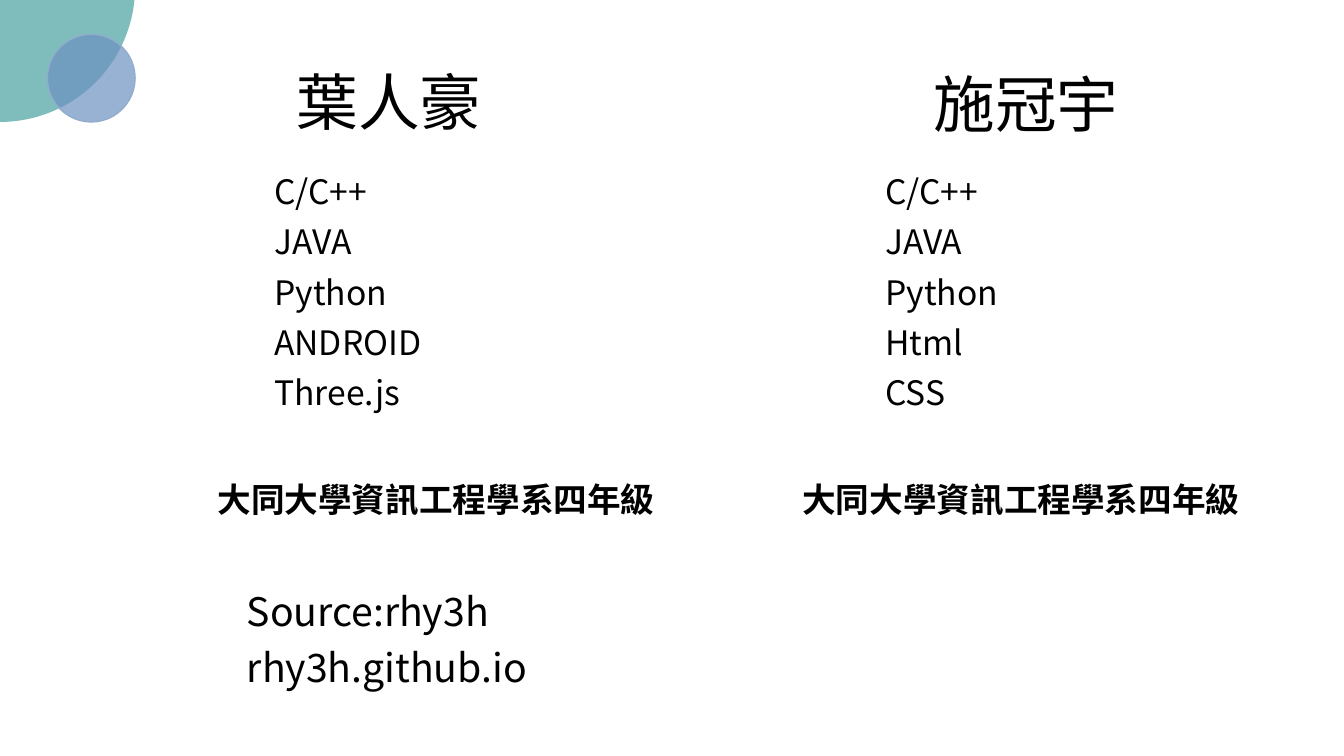
from pptx import Presentation
from pptx.dml.color import RGBColor
from pptx.enum.shapes import MSO_SHAPE
from pptx.enum.text import MSO_ANCHOR, MSO_AUTO_SIZE, PP_ALIGN
from pptx.oxml.ns import qn
from pptx.util import Inches, Pt

OVAL = MSO_SHAPE.OVAL
TOP, MIDDLE = MSO_ANCHOR.TOP, MSO_ANCHOR.MIDDLE
LEFT = PP_ALIGN.LEFT
SHRINK, GROW = MSO_AUTO_SIZE.TEXT_TO_FIT_SHAPE, MSO_AUTO_SIZE.SHAPE_TO_FIT_TEXT

FONT = "Noto Sans CJK SC"
BLACK = RGBColor(0, 0, 0)
TEAL = RGBColor(0x48, 0xA2, 0xA0)
BLUE = RGBColor(0x6C, 0x92, 0xC0)
RIM = RGBColor(0x92, 0xAC, 0xCD)

LIST_TOP, LIST_WIDTH = 1.69, 3.1
SCHOOL = "大同大學資訊工程學系四年級"
SKILLS_LEFT = ["C/C++", "JAVA", "Python", "ANDROID", "Three.js"]
SKILLS_RIGHT = ["C/C++", "JAVA", "Python", "Html", "CSS"]
CONTACT = ["Source:rhy3h", "rhy3h.github.io"]


def place(shape, left, top, width, height):
    """Position a shape, in inches."""
    shape.left, shape.top = Inches(left), Inches(top)
    shape.width, shape.height = Inches(width), Inches(height)


def write(shape, lines, size, spacing=0.9, gap=10, bold=False, anchor=TOP, fit=SHRINK):
    """Fill a shape with plain left-aligned lines without bullets."""
    frame = shape.text_frame
    frame.text = "\n".join(lines)
    frame.word_wrap = True
    frame.auto_size = fit
    frame.vertical_anchor = anchor
    for number, paragraph in enumerate(frame.paragraphs):
        properties = paragraph._p.get_or_add_pPr()
        properties.set("marL", "0")
        properties.set("indent", "0")
        properties.append(properties.makeelement(qn("a:buNone"), {}))
        paragraph.alignment = LEFT
        paragraph.line_spacing = spacing
        paragraph.space_before = Pt(gap if number else 0)
        font = paragraph.font
        font.name, font.size, font.bold = FONT, Pt(size), bold
        font.color.rgb = BLACK
        for run in paragraph.runs:
            run_properties = run._r.get_or_add_rPr()
            east_asian = run_properties.makeelement(qn("a:ea"), {"typeface": FONT})
            run_properties.append(east_asian)


def add_text(slide, box, lines, size, **style):
    """Add a text box holding the given lines."""
    text_box = slide.shapes.add_textbox(0, 0, 0, 0)
    place(text_box, *box)
    write(text_box, lines, size, **style)


def add_circle(slide, left, top, diameter, color, rim=None):
    """Add a translucent circle, with a thin rim if a colour is given."""
    circle = slide.shapes.add_shape(OVAL, 0, 0, 0, 0)
    place(circle, left, top, diameter, diameter)
    circle.shadow.inherit = False
    circle.fill.solid()
    circle.fill.fore_color.rgb = color
    tint = circle.fill._xPr.find(qn("a:solidFill"))[0]
    tint.append(tint.makeelement(qn("a:alpha"), {"val": "70000"}))
    if rim is None:
        circle.line.fill.background()
    else:
        circle.line.color.rgb = rim
        circle.line.width = Pt(1)


def main():
    """Build the slide introducing the two team members."""
    deck = Presentation()
    deck.slide_width, deck.slide_height = Inches(13.33), Inches(7.5)
    slide = deck.slides.add_slide(deck.slide_layouts[3])
    title, skills_left, skills_right = list(slide.placeholders)[:3]

    add_circle(slide, -1.34, -1.47, 2.68, TEAL)
    add_circle(slide, 0.47, 0.34, 0.87, BLUE, RIM)

    place(title, 2.84, 0.58, 2.13, 0.93)
    write(title, ["葉人豪"], 44, anchor=MIDDLE)
    add_text(slide, (9.16, 0.6, 2.13, 0.93), ["施冠宇"], 44, anchor=MIDDLE)

    place(skills_left, 2.62, LIST_TOP, LIST_WIDTH, 2.84)
    write(skills_left, SKILLS_LEFT, 24)
    place(skills_right, 8.68, LIST_TOP, LIST_WIDTH, 2.54)
    write(skills_right, SKILLS_RIGHT, 24)

    for school_left in (2.06, 7.86):
        add_text(slide, (school_left, 4.7, 4.73, 0.5), [SCHOOL], 24,
                 spacing=1, bold=True, fit=GROW)
    add_text(slide, (2.35, 5.83, LIST_WIDTH, 1.17), CONTACT, 28)

    deck.save("out.pptx")


if __name__ == "__main__":
    main()
